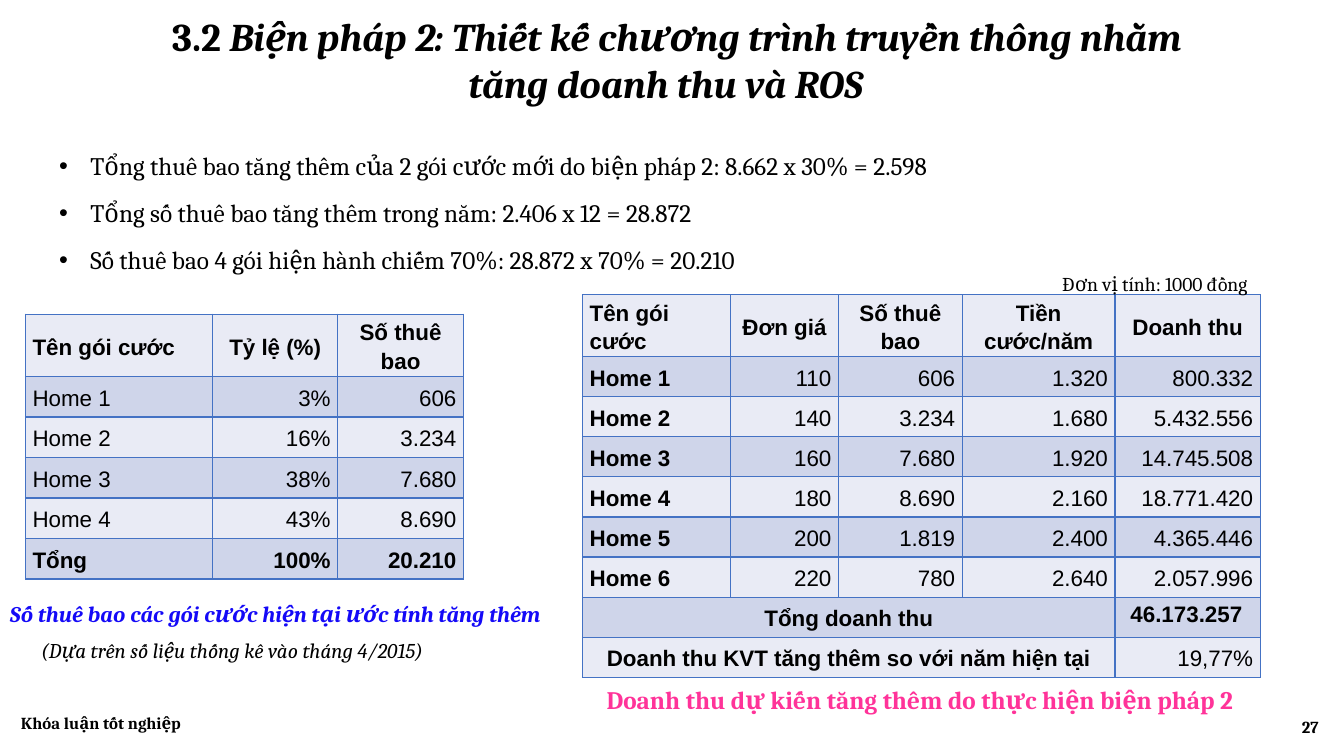
from pptx import Presentation
from pptx.dml.color import RGBColor
from pptx.enum.text import MSO_ANCHOR as Anchor, PP_ALIGN as Align
from pptx.oxml import parse_xml
from pptx.oxml.ns import nsdecls
from pptx.util import Cm, Pt

BLACK, BORDER, BANDS = "000000", "4472C4", ("E9EBF5", "CFD5EA")


def style(paragraph, size, color=BLACK, font="Cambria", bold=False, italic=False):
    paragraph.font.size = Pt(size)
    paragraph.font.name = font
    paragraph.font.bold = bold
    paragraph.font.italic = italic
    paragraph.font.color.rgb = RGBColor.from_string(color)


def add_box(left, top, width, height, lines):
    frame = slide.shapes.add_textbox(Cm(left), Cm(top), Cm(width), Cm(height)).text_frame
    frame.word_wrap = True
    frame.text = "\n".join(lines)
    return frame


prs = Presentation()
prs.slide_width, prs.slide_height = Cm(33.87), Cm(19.05)
slide = prs.slides.add_slide(prs.slide_layouts[6])

# Title
title = add_box(4.09, 0.18, 27.1, 2.64, ["3.2 ", "tăng doanh thu và ROS"])
first_line, second_line = title.paragraphs
topic = first_line.add_run()
topic.text = "Biện pháp 2: Thiết kế chương trình truyền thông nhằm"
topic.font.italic = True
second_line._p.get_or_add_pPr().set("indent", str(Cm(7.47)))
style(first_line, 28, bold=True)
style(second_line, 28, bold=True, italic=True)

# Subscriber calculations
calculations = add_box(1.24, 3.66, 23.52, 3.43, [
    "Tổng thuê bao tăng thêm của 2 gói cước mới do biện pháp 2: 8.662 x 30% = 2.598",
    "Tổng số thuê bao tăng thêm trong năm: 2.406 x 12 = 28.872",
    "Số thuê bao 4 gói hiện hành chiếm 70%: 28.872 x 70% = 20.210",
])
for calculation in calculations.paragraphs:
    calculation.space_after = Pt(12)
    properties = calculation._p.get_or_add_pPr()
    properties.set("marL", str(Cm(0.79)))
    properties.set("indent", str(Cm(-0.79)))
    properties.append(parse_xml(f'<a:buFont {nsdecls("a")} typeface="Arial"/>'))
    properties.append(parse_xml(f'<a:buChar {nsdecls("a")} char="•"/>'))
    style(calculation, 18)

# Tables: subscribers by package, then expected revenue
subscribers = [
    ["Tên gói cước", "Tỷ lệ (%)", "Số thuê bao"],
    ["Home 1", "3%", "606"],
    ["Home 2", "16%", "3.234"],
    ["Home 3", "38%", "7.680"],
    ["Home 4", "43%", "8.690"],
    ["Tổng", "100%", "20.210"],
]
revenue = [
    ["Tên gói cước", "Đơn giá", "Số thuê bao", "Tiền cước/năm", "Doanh thu"],
    ["Home 1", "110", "606", "1.320", "800.332"],
    ["Home 2", "140", "3.234", "1.680", "5.432.556"],
    ["Home 3", "160", "7.680", "1.920", "14.745.508"],
    ["Home 4", "180", "8.690", "2.160", "18.771.420"],
    ["Home 5", "200", "1.819", "2.400", "4.365.446"],
    ["Home 6", "220", "780", "2.640", "2.057.996"],
    ["Tổng doanh thu", "", "", "", ""],
    ["Doanh thu KVT tăng thêm so với năm hiện tại", "", "", "", "19,77%"],
]
tables = [
    # rows, left, top, column widths, header and row height, bold rows, bold columns, merged rows
    (subscribers, 0.64, 7.92, [4.72, 3.15, 3.17], 1.57, 1.02, {0, 5}, set(), set()),
    (revenue, 14.68, 7.43, [3.73, 2.72, 3.12, 3.85, 3.66], 1.5, 1.01, {0}, {0}, {7, 8}),
]
for rows, left, top, widths, header, body, bold_rows, bold_columns, merged_rows in tables:
    table = slide.shapes.add_table(
        len(rows), len(widths), Cm(left), Cm(top),
        Cm(sum(widths)), Cm(header + body * (len(rows) - 1))).table
    for column, width in zip(table.columns, widths):
        column.width = Cm(width)
    for r, values in enumerate(rows):
        table.rows[r].height = Cm(body if r else header)
        for c, value in enumerate(values):
            cell = table.cell(r, c)
            cell.text = value
            cell.vertical_anchor = Anchor.MIDDLE
            cell.margin_left = cell.margin_right = Cm(0.18)
            cell.margin_top = cell.margin_bottom = 0
            cell.fill.solid()
            cell.fill.fore_color.rgb = RGBColor.from_string(BANDS[r % 2])
            for position, side in enumerate("LRTB"):
                cell._tc.get_or_add_tcPr().insert(position, parse_xml(
                    f'<a:ln{side} {nsdecls("a")} w="{Pt(1)}"><a:solidFill>'
                    f'<a:srgbClr val="{BORDER}"/></a:solidFill></a:ln{side}>'))
            entry = cell.text_frame.paragraphs[0]
            entry.line_spacing = 1.15
            if c == 0:
                entry.alignment = Align.CENTER if r in merged_rows else Align.LEFT
            else:
                entry.alignment = Align.RIGHT if r else Align.CENTER
            style(entry, 16, font="Arial", bold=r in bold_rows or c in bold_columns)
        if r in merged_rows:
            table.cell(r, 0).merge(table.cell(r, len(widths) - 2))

# Captions, unit and revenue total
captions = [
    ("Doanh thu dự kiến tăng thêm do thực hiện biện pháp 2",
     15.04, 17.12, 16.56, 1.02, dict(size=18, color="FF3399", bold=True)),
    ("Số thuê bao các gói cước hiện tại ước tính tăng thêm",
     0, 14.99, 13.94, 0.94, dict(size=16, color="1409F7", bold=True, italic=True)),
    ("(Dựa trên số liệu thống kê vào tháng 4/2015)",
     0.79, 15.93, 10.92, 0.89, dict(size=15, italic=True)),
    ("Đơn vị tính: 1000 đồng", 26.52, 6.63, 5.38, 0.94, dict(size=14)),
    ("46.173.257", 28.24, 15.01, 3.5, 0.94, dict(size=16, font="Arial", bold=True)),
]
for text, left, top, width, height, look in captions:
    caption = add_box(left, top, width, height, [text]).paragraphs[0]
    style(caption, **look)
    if text.startswith("Đơn vị"):
        caption.line_spacing = 1.15

# Footer and page number
for text, left, top, alignment in [("Khóa luận tốt nghiệp", 0.28, 17.7, Align.LEFT),
                                   ("27", 25.86, 17.81, Align.RIGHT)]:
    footer = add_box(left, top, 7.62, 1.02, [text])
    footer.vertical_anchor = Anchor.MIDDLE
    footer.paragraphs[0].alignment = alignment
    style(footer.paragraphs[0], 12, bold=True)

prs.save("out.pptx")
